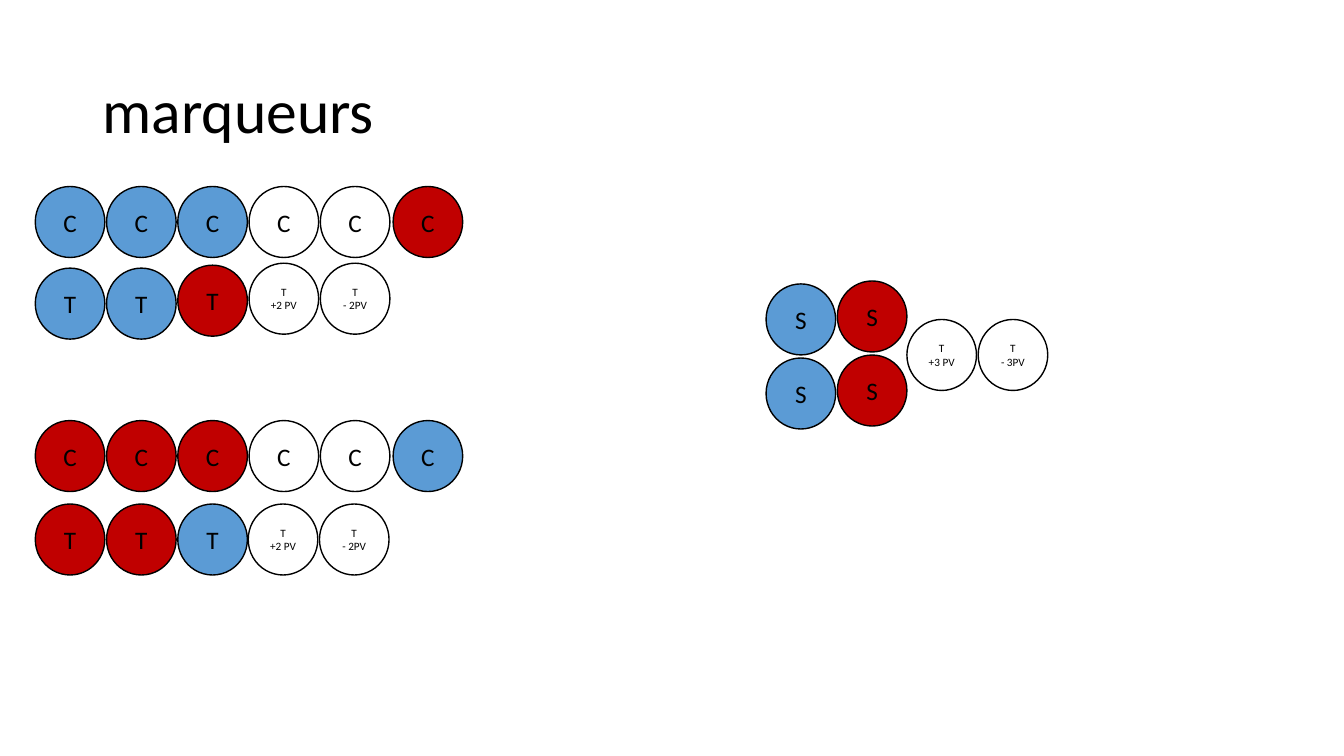
from dataclasses import dataclass

from pptx import Presentation
from pptx.dml.color import RGBColor
from pptx.enum.shapes import MSO_SHAPE
from pptx.enum.text import MSO_ANCHOR, PP_ALIGN
from pptx.slide import Slide
from pptx.text.text import _Paragraph
from pptx.util import Pt

ELLIPSE = MSO_SHAPE.OVAL
MIDDLE = MSO_ANCHOR.MIDDLE
LEFT, CENTER = PP_ALIGN.LEFT, PP_ALIGN.CENTER
TITLE_ONLY = 5


@dataclass(frozen=True)
class Theme:
    font: str = "Calibri"
    ink: RGBColor = RGBColor(0, 0, 0)
    blue: RGBColor = RGBColor(0x5B, 0x9B, 0xD5)
    red: RGBColor = RGBColor(0xC0, 0, 0)
    white: RGBColor = RGBColor(255, 255, 255)
    title_size: float = 44
    letter_size: float = 18
    bonus_size: float = 8
    outline: float = 1


@dataclass(frozen=True)
class MarkerRow:
    left: float
    top: float
    fills: tuple[RGBColor, ...]
    labels: tuple[str, ...]


THEME = Theme()
BLUE, RED, WHITE = THEME.blue, THEME.red, THEME.white
MARKER_WIDTH, MARKER_HEIGHT, PITCH = 49.7, 50.7, 50.9
TEAM_LEFT, BONUS_LEFT, SINGLE_LEFT = 25.2, 177.9, 280.8
S_LEFT, S_BONUS_LEFT = 547.2, 647.8


def letters(left: float, top: float, letter: str, *fills: RGBColor) -> MarkerRow:
    return MarkerRow(left, top, fills, (letter,) * len(fills))


def bonuses(left: float, top: float, *values: str) -> MarkerRow:
    return MarkerRow(left, top, (WHITE,) * len(values), tuple(f"T\n{value}" for value in values))


ROWS = (
    letters(TEAM_LEFT, 133.2, "C", BLUE, BLUE, BLUE, WHITE, WHITE),
    letters(SINGLE_LEFT, 133.2, "C", RED),
    letters(TEAM_LEFT, 300.4, "C", RED, RED, RED, WHITE, WHITE),
    letters(SINGLE_LEFT, 300.4, "C", BLUE),
    letters(TEAM_LEFT, 191.5, "T", BLUE, BLUE),
    bonuses(BONUS_LEFT, 188, "+2 PV", "- 2PV"),
    letters(TEAM_LEFT + 2 * PITCH, 189.4, "T", RED),
    letters(TEAM_LEFT, 360, "T", RED, RED, BLUE),
    bonuses(BONUS_LEFT - 0.6, 360, "+2 PV", "- 2PV"),
    bonuses(S_BONUS_LEFT, 228.2, "+3 PV", "- 3PV"),
    letters(S_LEFT, 255.7, "S", BLUE),
    letters(S_LEFT + PITCH, 253.6, "S", RED),
    letters(S_LEFT, 202.8, "S", BLUE),
    letters(S_LEFT + PITCH, 200.7, "S", RED),
)


def write(paragraph: _Paragraph, words: str, size: float, align: PP_ALIGN) -> None:
    paragraph.alignment = align
    run = paragraph.add_run()
    run.text = words
    run.font.name = THEME.font
    run.font.size = Pt(size)
    run.font.color.rgb = THEME.ink


def draw_marker(slide: Slide, left: float, top: float, fill: RGBColor, label: str) -> None:
    marker = slide.shapes.add_shape(ELLIPSE, Pt(left), Pt(top), Pt(MARKER_WIDTH), Pt(MARKER_HEIGHT))
    marker.shadow.inherit = False
    marker.fill.solid()
    marker.fill.fore_color.rgb = fill
    marker.line.color.rgb = THEME.ink
    marker.line.width = Pt(THEME.outline)
    frame = marker.text_frame
    frame.vertical_anchor = MIDDLE
    lines = label.split("\n")
    size = THEME.letter_size if len(lines) == 1 else THEME.bonus_size
    for index, words in enumerate(lines):
        paragraph = frame.add_paragraph() if index else frame.paragraphs[0]
        write(paragraph, words, size, CENTER)


def draw_row(slide: Slide, row: MarkerRow) -> None:
    for index, (fill, label) in enumerate(zip(row.fills, row.labels)):
        draw_marker(slide, row.left + index * PITCH, row.top, fill, label)


def draw_title(slide: Slide, words: str) -> None:
    title = slide.shapes.title
    title.left, title.top = Pt(66), Pt(28.8)
    title.width, title.height = Pt(828), Pt(104.4)
    title.text_frame.vertical_anchor = MIDDLE
    heading = title.text_frame.paragraphs[0]
    heading.line_spacing = 0.9
    write(heading, words, THEME.title_size, LEFT)


presentation = Presentation()
presentation.slide_width, presentation.slide_height = Pt(960), Pt(540)
markers_slide = presentation.slides.add_slide(presentation.slide_layouts[TITLE_ONLY])
draw_title(markers_slide, "marqueurs")
for marker_row in ROWS:
    draw_row(markers_slide, marker_row)
presentation.save("out.pptx")
